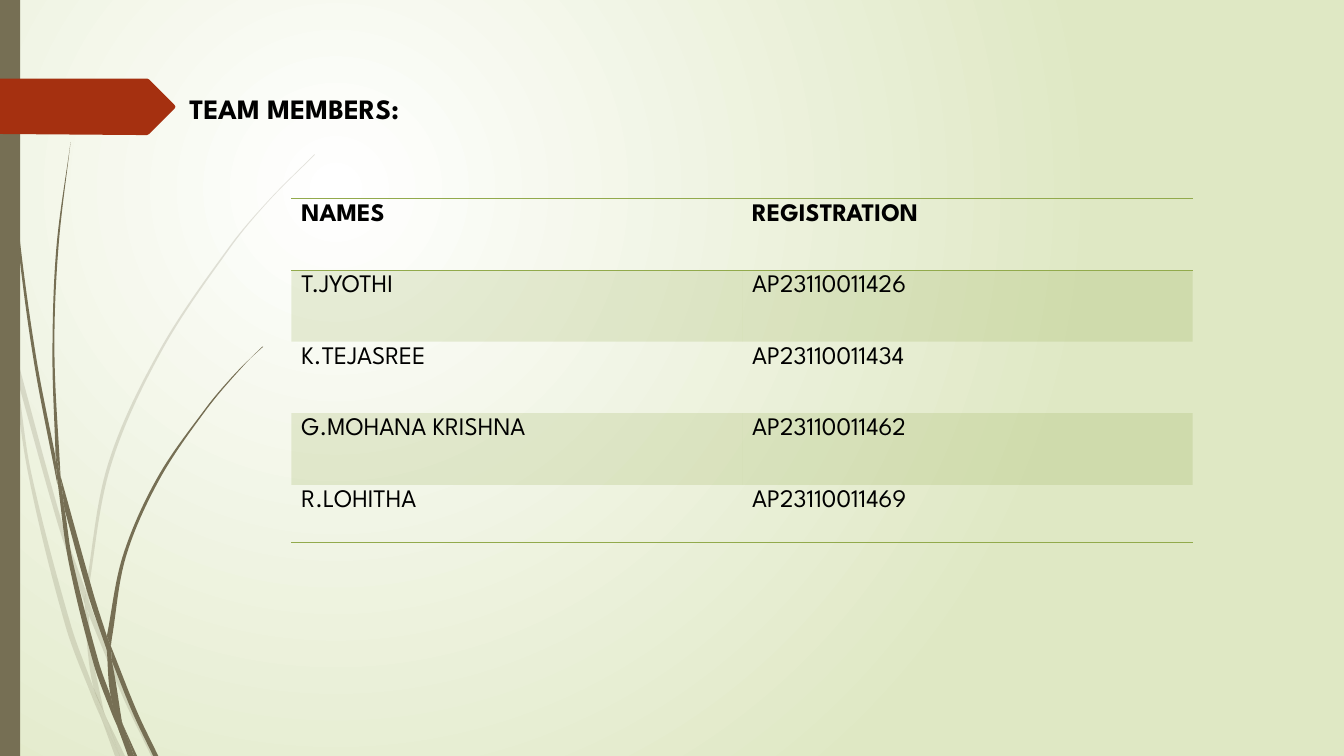
from math import dist

from pptx import Presentation
from pptx.dml.color import RGBColor
from pptx.enum.shapes import MSO_SHAPE
from pptx.enum.text import MSO_AUTO_SIZE
from pptx.oxml import parse_xml
from pptx.oxml.ns import nsdecls, qn
from pptx.util import Inches, Pt
from lxml import etree

RECT = MSO_SHAPE.RECTANGLE
FIT_SHAPE = MSO_AUTO_SIZE.SHAPE_TO_FIT_TEXT
BROWN = RGBColor(0x76, 0x6F, 0x54)
RED = RGBColor(0xA5, 0x30, 0x10)
GREEN = RGBColor(0x92, 0xAA, 0x4C)
BLACK = RGBColor(0, 0, 0)
FONT = "League Spartan"
W, H = 13.33, 7.5
UNITS = 1000  # outline units per inch


def controls(edge):
    """Bezier control points for each step of a smooth curve through an edge."""
    slopes = []
    for i, b in enumerate(edge):
        a, c = edge[max(i - 1, 0)], edge[min(i + 1, len(edge) - 1)]
        length = dist(a, b) + dist(b, c)
        slopes.append([(c[k] - a[k]) / length for k in (0, 1)])
    pairs = []
    for p, q, u, v in zip(edge, edge[1:], slopes, slopes[1:]):
        d = dist(p, q) / 3
        pairs.append(([p[k] + d * u[k] for k in (0, 1)], [q[k] - d * v[k] for k in (0, 1)]))
    return pairs


def paint(sp, color, opacity=100):
    """Plain fill without line or shadow."""
    sp.fill.solid()
    sp.fill.fore_color.rgb = color
    if opacity < 100:
        clr = sp.fill._xPr.find(".//" + qn("a:srgbClr"))
        etree.SubElement(clr, qn("a:alpha"), val=str(opacity * 1000))
    if hasattr(sp, "line"):
        sp.line.fill.background()
        sp.shadow.inherit = False


prs = Presentation()
prs.slide_width, prs.slide_height = Inches(W), Inches(H)
s = prs.slides.add_slide(prs.slide_layouts[6])

# Background: round gradient
s._element.cSld.insert(0, parse_xml(
    f'<p:bg {nsdecls("p", "a")}><p:bgPr><a:gradFill rotWithShape="1"><a:gsLst>'
    '<a:gs pos="0"><a:srgbClr val="FFFFFF"/></a:gs>'
    '<a:gs pos="100000"><a:srgbClr val="DFE8C4"/></a:gs></a:gsLst>'
    '<a:path path="circle"><a:fillToRect l="50000" t="50000" r="100000" b="100000"/></a:path>'
    '</a:gradFill><a:effectLst/></p:bgPr></p:bg>'))

# Grass: each blade has an edge out and an edge back, in inches
pale_blades = [
    ([(0, 2.82), (.09, 3.22), (.11, 3.5)], [(.1, 3.44), (0, 2.99)]),
    ([(.14, 3.45), (.62, 5.2), (.85, 5.86)], [(.84, 5.99), (.58, 5.22), (.17, 3.76)]),
    ([(.88, 5.96), (.92, 6.07), (1.27, 6.92), (1.55, H)], [(1.5, H), (1.23, 6.94), (.88, 6.1)]),
    ([(1.05, 7.11), (1.24, H)], [(1.19, H), (1.05, 7.11)]),
    ([(.11, 3.5), (.17, 3.76), (.31, 4.69), (.7, 6.19), (.93, 6.83)],
     [(1.01, 7.14), (.92, 6.93), (.65, 6.21), (.28, 4.7), (.11, 3.5)]),
    ([(.84, 5.99), (.87, 6.46), (.93, 6.83), (1.05, 7.11)], [(1.03, 7.06), (.91, 6.46), (.88, 6.1)]),
    ([(.88, 5.96), (.88, 5.84), (1.1, 4.62), (1.6, 3.49), (2.29, 2.45), (2.68, 1.98), (3.12, 1.54)],
     [(3.12, 1.53), (2.68, 1.97), (2.28, 2.44), (1.58, 3.48), (1.07, 4.61), (.85, 5.84)]),
    ([(1.01, 7.14), (1.14, H)], [(1.19, H), (1.01, 7.14)]),
    ([(.85, 5.86), (.84, 5.99), (.88, 6.08)], [(.88, 5.96), (.85, 5.86)]),
    ([(.93, 6.83), (1.05, 7.11), (1.19, H)], [(1.01, 7.14), (.93, 6.83)]),
]
dark_blades = [
    ([(.03, 0), (.07, 1.1), (.17, 2.33), (.33, 3.55), (.57, 4.81)],
     [(.55, 4.53), (.36, 3.55), (.19, 2.32), (.08, 1.09), (.04, 0)]),
    ([(.6, 4.72), (.93, 5.9), (1.06, 6.31)], [(1.06, 6.45), (.88, 5.92), (.64, 5.05)]),
    ([(1.1, 6.41), (1.36, 7.06), (1.57, H)], [(1.52, H), (1.32, 7.08), (1.11, 6.56)]),
    ([(.57, 4.77), (.64, 5.05), (.72, 5.56), (.98, 6.57), (1.1, 6.91)],
     [(1.17, 7.22), (1.11, 7.08), (.93, 6.59), (.68, 5.57), (.57, 4.77)]),
    ([(.6, 4.72), (.54, 3.49), (.58, 2.45), (.7, 1.41)],
     [(.7, 1.41), (.56, 2.45), (.52, 3.49), (.55, 4.49)]),
    ([(1.22, 7.19), (1.36, H)], [(1.33, H), (1.22, 7.19)]),
    ([(.55, 4.49), (.57, 4.77), (.64, 5.05)], [(.6, 4.72), (.55, 4.49)]),
    ([(1.1, 6.41), (1.11, 6.33), (1.25, 5.52), (1.58, 4.76), (2.05, 4.06), (2.45, 3.59), (2.61, 3.44)],
     [(2.6, 3.44), (2.31, 3.73), (2.04, 4.05), (1.56, 4.74), (1.22, 5.51), (1.06, 6.31)]),
    ([(1.17, 7.22), (1.27, H)], [(1.31, H), (1.17, 7.22)]),
    ([(1.06, 6.45), (1.1, 6.91), (1.22, 7.19)], [(1.21, 7.16), (1.11, 6.56), (1.06, 6.45)]),
    ([(1.06, 6.31), (1.06, 6.45), (1.11, 6.56)], [(1.1, 6.41), (1.06, 6.31)]),
    ([(1.1, 6.91), (1.22, 7.19), (1.33, H)], [(1.3, H), (1.17, 7.22), (1.1, 6.91)]),
]
for blades, opacity in ((pale_blades, 20), (dark_blades, 100)):
    for out, back in blades:
        pts = [(x * UNITS, y * UNITS) for x, y in out + back]
        left, top = min(x for x, y in pts), min(y for x, y in pts)
        fb = s.shapes.build_freeform(*pts[0], scale=Inches(1) / UNITS)
        fb.add_line_segments(pts[1:])
        sp = fb.convert_to_shape()
        paint(sp, BROWN, opacity)
        # Bend the straight steps, except the one that joins the two edges
        steps = sp._element.findall(".//" + qn("a:lnTo"))
        for step, pair in zip(steps, controls(out) + [None] + controls(back)):
            if pair:
                step.tag = qn("a:cubicBezTo")
                for n, (x, y) in enumerate(pair):
                    step.insert(n, etree.Element(qn("a:pt"), x=str(round(x * UNITS - left)),
                                                 y=str(round(y * UNITS - top))))

# Side bar and arrow
bar = s.shapes.add_shape(RECT, 0, 0, Inches(.2), Inches(H))
paint(bar, BROWN)
arrow = [(0, .78), (1.46, .78), (1.48, .79), (1.73, 1.04), (1.74, 1.06),
         (1.73, 1.08), (1.48, 1.33), (1.46, 1.34), (1.36, 1.34), (0, 1.33)]
pts = [(x * UNITS, y * UNITS) for x, y in arrow]
fb = s.shapes.build_freeform(*pts[0], scale=Inches(1) / UNITS)
fb.add_line_segments(pts[1:])
paint(fb.convert_to_shape(), RED)

# Table of members
members = [
    ("NAMES", "REGISTRATION"),
    ("T.JYOTHI", "AP23110011426"),
    ("K.TEJASREE", "AP23110011434"),
    ("G.MOHANA KRISHNA", "AP23110011462"),
    ("R.LOHITHA", "AP23110011469"),
]
last = len(members) - 1
frame = s.shapes.add_table(len(members), 2, Inches(2.89), Inches(1.97), Inches(8.94), Inches(3.55))
table = frame.table
table.first_row = table.horz_banding = False
table._tbl.tblPr.find(qn("a:tableStyleId")).text = "{2D5ABB26-0587-4C30-8999-92F81FD0307C}"
for i, row in enumerate(members):
    table.rows[i].height = Inches(.57 if i == last else .71)
    for j, text in enumerate(row):
        cell = table.cell(i, j)
        r = cell.text_frame.paragraphs[0].add_run()
        r.text = text
        r.font.name, r.font.size, r.font.bold = FONT, Pt(18), i == 0
        r.font.color.rgb = BLACK
        if i % 2:
            paint(cell, GREEN, 20)
        else:
            cell.fill.background()
        sides = {0: ("lnT", "lnB"), last: ("lnB",)}.get(i, ())
        for n, side in enumerate(sides):
            cell._tc.tcPr.insert(n, parse_xml(
                f'<a:{side} {nsdecls("a")} w="12700"><a:solidFill>'
                f'<a:srgbClr val="{GREEN}"/></a:solidFill></a:{side}>'))

# Title
tb = s.shapes.add_textbox(Inches(1.78), Inches(.86), Inches(5.08), Inches(.44))
tf = tb.text_frame
tf.word_wrap = True
tf.auto_size = FIT_SHAPE
r = tf.paragraphs[0].add_run()
r.text = "TEAM MEMBERS:"
r.font.name, r.font.size, r.font.bold = FONT, Pt(20), True
r.font.color.rgb = BLACK

prs.save("out.pptx")
